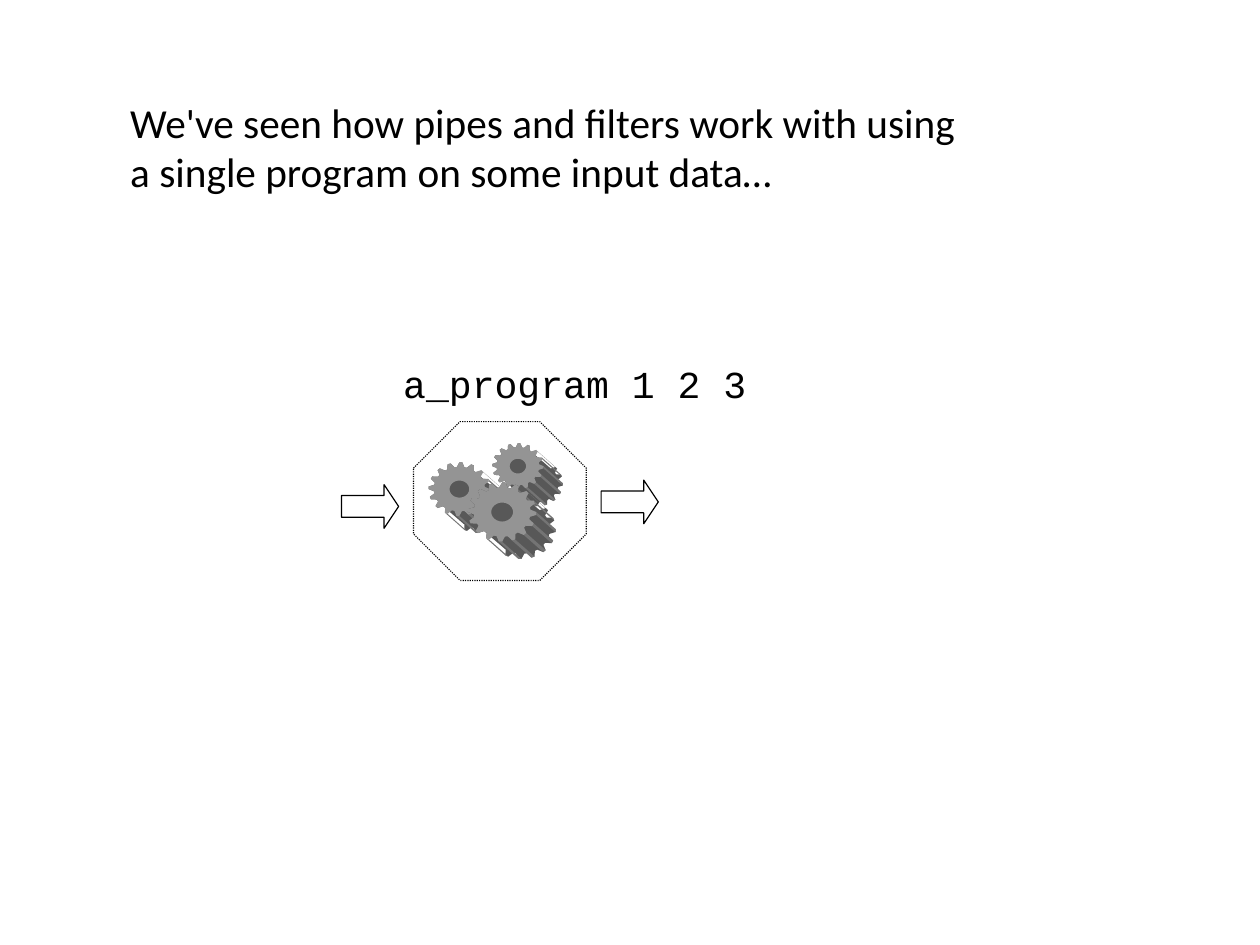
from math import cos, sin, pi

from pptx import Presentation
from pptx.dml.color import RGBColor
from pptx.enum.dml import MSO_LINE as Dash
from pptx.enum.shapes import MSO_SHAPE as Kind
from pptx.enum.text import MSO_ANCHOR as Anchor, MSO_AUTO_SIZE as Fit, PP_ALIGN as Align
from pptx.util import Cm, Pt

BLACK = RGBColor(0x00, 0x00, 0x00)
FACE = RGBColor(0x94, 0x94, 0x94)
SIDE = RGBColor(0x58, 0x58, 0x58)
RIDGE = RGBColor(0x74, 0x74, 0x74)
TEETH = 16


def place(item, x, y, w, h):
    item.left, item.top, item.width, item.height = Cm(x), Cm(y), Cm(w), Cm(h)


def write(item, text, font="Calibri", size=26, space=1.0):
    frame = item.text_frame
    frame.word_wrap = True
    frame.auto_size = Fit.NONE
    frame.vertical_anchor = Anchor.TOP
    line = frame.paragraphs[0]
    line.text = text
    line.alignment = Align.LEFT
    line.line_spacing = space
    line.font.name, line.font.size = font, Pt(size)
    line.font.color.rgb = BLACK


def outline(slide, kind, x, y, w, h, *adjust):
    item = slide.shapes.add_shape(kind, Cm(x), Cm(y), Cm(w), Cm(h))
    for i, value in enumerate(adjust):
        item.adjustments[i] = value
    item.shadow.inherit = False
    item.fill.background()
    item.line.color.rgb = BLACK
    item.line.width = Pt(0.75)
    return item


def ring(x, y, w, h, scales):
    step = 2 * pi / len(scales)
    return [(Cm(x + w / 2 * s * cos(i * step)), Cm(y + h / 2 * s * sin(i * step)))
            for i, s in enumerate(scales)]


def solid(slide, color, *paths):
    form = slide.shapes.build_freeform(*paths[0][0])
    for i, path in enumerate(paths):
        if i:
            form.move_to(*path[0])
        form.add_line_segments(path[1:])
    item = form.convert_to_shape()
    item.shadow.inherit = False
    item.fill.solid()
    item.fill.fore_color.rgb = color
    item.line.fill.background()


def gear(slide, x, y, w, h):
    teeth = [1, 1, 0.83, 0.83] * TEETH
    front = ring(x, y, w, h, teeth)
    back = ring(x + 0.43, y + 0.38, w, h, teeth)
    solid(slide, SIDE, front[23:55] + back[55:] + back[:23])
    solid(slide, RIDGE, *[[front[i], front[i + 1], back[i + 1], back[i]]
                          for i in range(-8, 24, 4)])
    solid(slide, FACE, front, ring(x, y, w, h, [0.32] * 24))


def program(slide, x, y, w, h):
    for dx, dy in [(w + 0.33, 1.3), (-1.6, 1.4)]:
        outline(slide, Kind.RIGHT_ARROW, x + dx, y + dy, 1.27, 0.97, 0.5, 0.333)
    for dx, dy, size, high in [(2.32, 0.99, 1.14, 1.02), (1.02, 1.5, 1.37, 1.19),
                               (1.97, 2.01, 1.52, 1.32)]:
        gear(slide, x + dx, y + dy, size, high)
    frame = outline(slide, Kind.OCTAGON, x, y, w, h, 0.293)
    frame.line.dash_style = Dash.ROUND_DOT
    label = slide.shapes.add_textbox(0, 0, 0, 0)
    place(label, x - 0.48, y - 1.75, 9.12, 1.6)
    write(label, "a_program 1 2 3", font="Courier New", size=24, space=1.25)


def heading(slide, x, y, w, h):
    title = slide.shapes.title
    place(title, x, y, w, h)
    write(title, "We've seen how pipes and filters work with using "
                 "a single program on some input data…")


def main():
    deck = Presentation()
    deck.slide_width, deck.slide_height = Cm(28), Cm(21)
    slide = deck.slides.add_slide(deck.slide_layouts[5])
    heading(slide, 2.64, 2.03, 19.2, 2.49)
    program(slide, 9.19, 9.37, 3.84, 3.53)
    deck.save("out.pptx")


if __name__ == "__main__":
    main()
